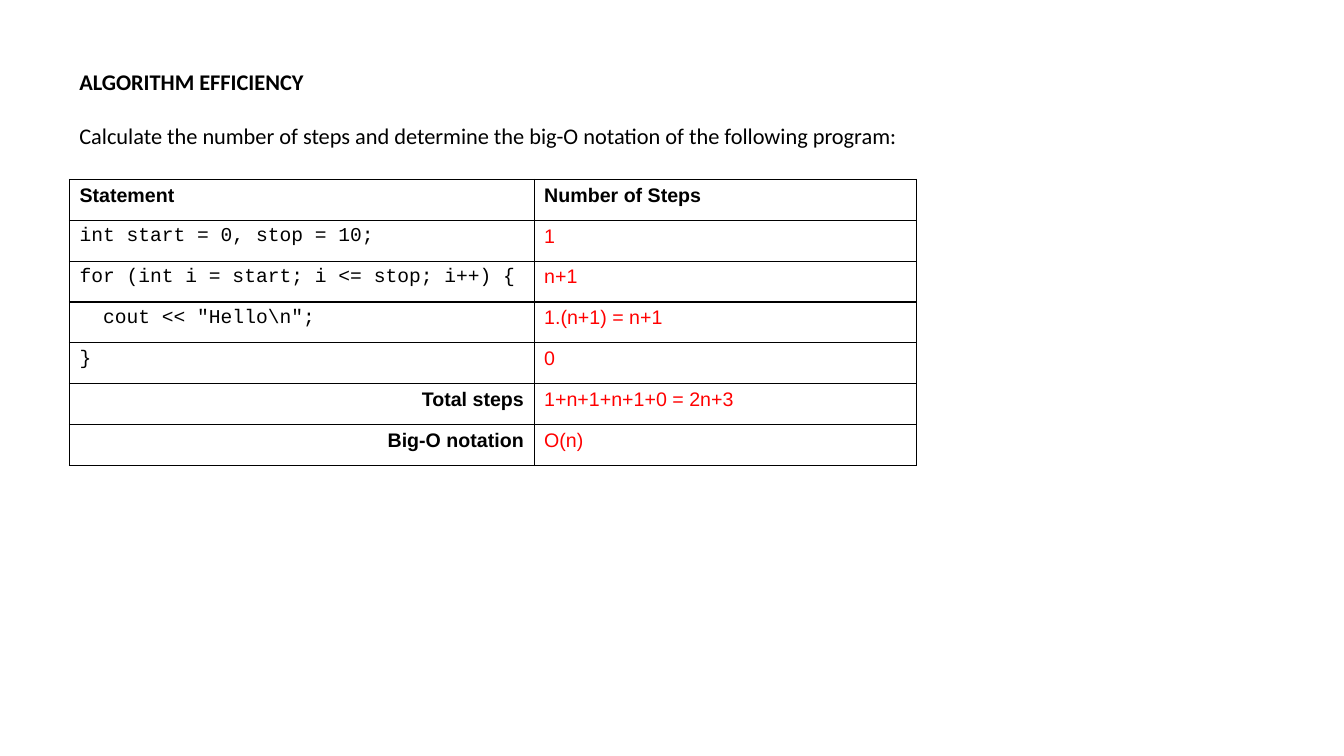
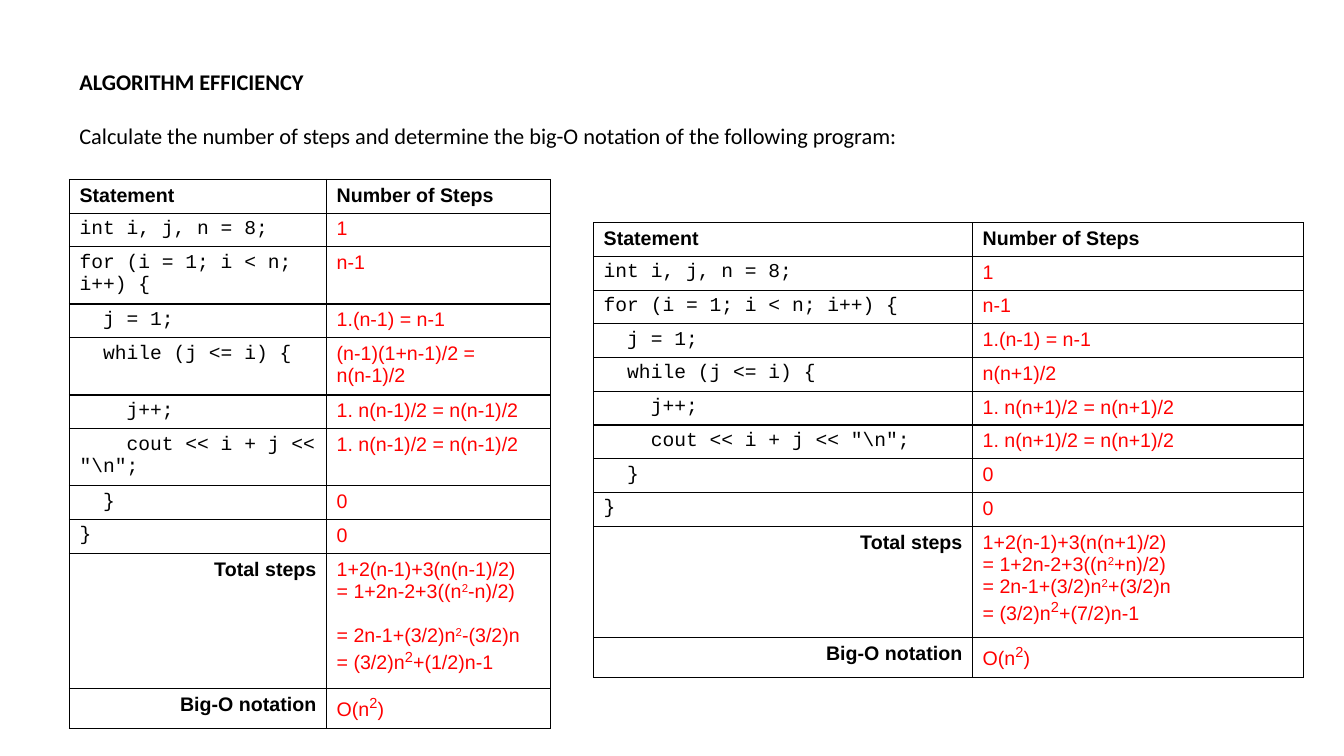
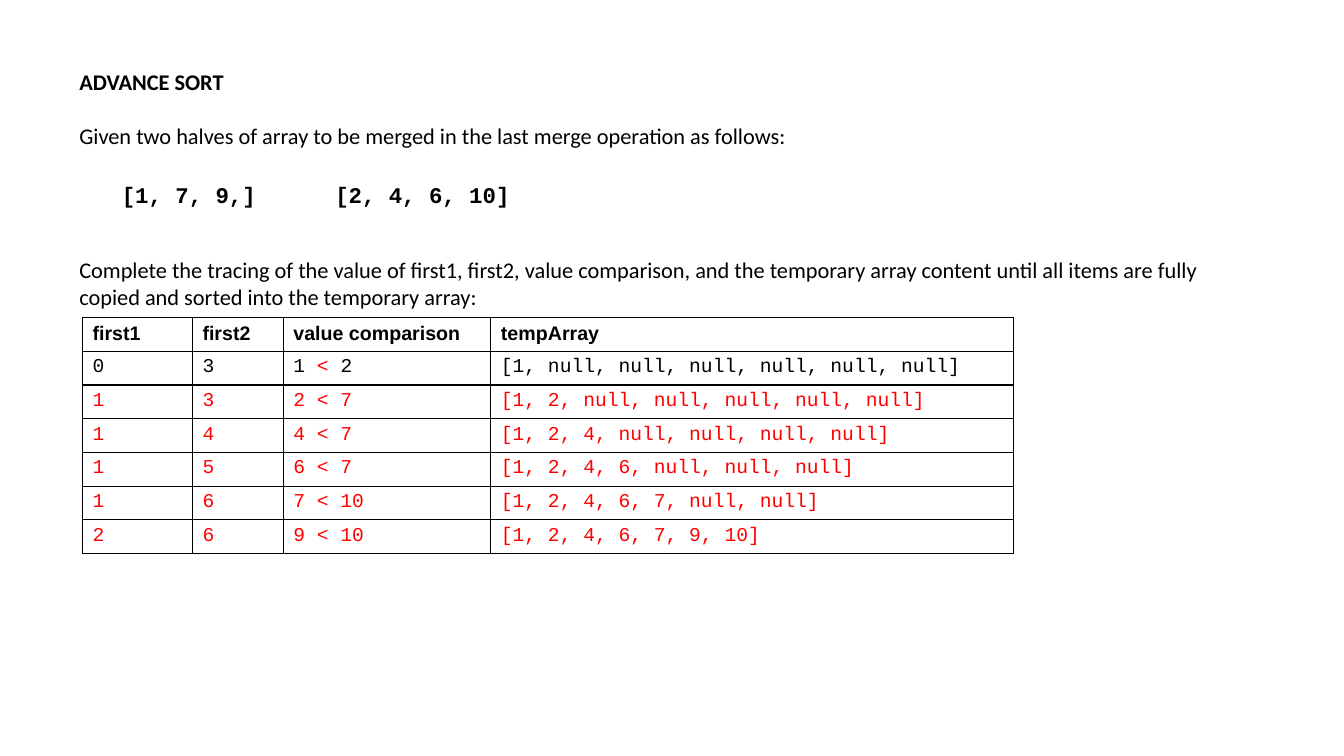
import pptx
import pptx.dml.color
import pptx.enum.text
import pptx.oxml
import pptx.oxml.ns
import pptx.util
from pptx.util import Cm

BLACK, RED = "000000", "FF0000"
BODY_FONT, TABLE_FONT, CODE_FONT = "Calibri", "Arial", "Courier New"
LEFT = pptx.enum.text.PP_ALIGN.LEFT
RIGHT = pptx.enum.text.PP_ALIGN.RIGHT

# Formats of the table texts
HEAD = {"font": TABLE_FONT, "bold": True}
CODE = {"font": CODE_FONT}
ANSWER = {"font": TABLE_FONT, "color": RED}
TRACE = {"font": CODE_FONT, "color": RED}
LABEL = {"font": TABLE_FONT, "bold": True, "align": RIGHT}

# Row heights in centimetres
ROW, TWO_LINES, POWER_ROW = 0.85, 1.44, 1.0


def rgb(color):
    return pptx.dml.color.RGBColor.from_string(color)


def write(paragraph, text, size=14, font=TABLE_FONT, color=BLACK, bold=False,
          align=LEFT, before=0, raised=False):
    """Add one run of text to a paragraph."""
    paragraph.alignment = align
    if before:
        paragraph.space_before = pptx.util.Pt(before)
    run = paragraph.add_run()
    run.text = text
    run.font.size = pptx.util.Pt(size)
    run.font.name = font
    run.font.bold = bold
    run.font.color.rgb = rgb(color)
    if raised:
        run.font._element.set("baseline", "30000")


def fill_frame(frame, lines):
    """Write lines, each a list of (text, format) runs."""
    for index, runs in enumerate(lines):
        paragraph = frame.add_paragraph() if index else frame.paragraphs[0]
        for text, style in runs:
            write(paragraph, text, **style)


def plain(text, style):
    """One cell holding a single line in a single format."""
    return [[(text, style)]]


def squared(start, end, size=14, before=0):
    """An answer line with a raised 2 between start and end."""
    first = {**ANSWER, "before": before}
    return [(start, first),
            ("2", {**first, "size": size, "raised": True}), (end, first)]


class Deck:
    def __init__(self):
        self.presentation = pptx.Presentation()
        self.presentation.slide_width = Cm(33.87)
        self.presentation.slide_height = Cm(19.05)
        self.slide = None

    def add_slide(self, title, *body):
        """Start a slide with a title and (text, space before) paragraphs."""
        layout = self.presentation.slide_layouts[6]
        self.slide = self.presentation.slides.add_slide(layout)
        style = {"size": 16, "font": BODY_FONT}
        lines = [[(title, {**style, "bold": True})]]
        lines += [[(text, {**style, "before": gap})] for text, gap in body]
        self.add_text(1.75, 1.6, 28.83, 5.74, lines)

    def add_text(self, left, top, width, height, lines, wrap=True):
        shape = self.slide.shapes.add_textbox(
            Cm(left), Cm(top), Cm(width), Cm(height))
        shape.text_frame.word_wrap = wrap
        fill_frame(shape.text_frame, lines)

    def add_table(self, left, top, widths, heights, rows):
        shape = self.slide.shapes.add_table(
            len(rows), len(widths), Cm(left), Cm(top),
            Cm(sum(widths)), Cm(sum(heights)))
        table = shape.table
        table.first_row = table.horz_banding = False
        for column, width in zip(table.columns, widths):
            column.width = Cm(width)
        for row, height, contents in zip(table.rows, heights, rows):
            row.height = Cm(height)
            for cell, lines in zip(row.cells, contents):
                self.add_borders(cell)
                cell.fill.background()
                fill_frame(cell.text_frame, lines)

    def add_borders(self, cell):
        properties = cell._tc.get_or_add_tcPr()
        for side in ("lnL", "lnR", "lnT", "lnB"):
            properties.append(pptx.oxml.parse_xml(
                f'<a:{side} {pptx.oxml.ns.nsdecls("a")} w="12700">'
                f'<a:solidFill><a:srgbClr val="{BLACK}"/></a:solidFill>'
                f'</a:{side}>'))

    def add_steps(self, left, top, widths, heights, steps, total, notation):
        """Table of statements, their step counts and the two results."""
        rows = [[plain("Statement", HEAD), plain("Number of Steps", HEAD)]]
        rows += [[plain(code, CODE), plain(count, ANSWER)]
                 for code, count in steps]
        rows += [[plain("Total steps", LABEL), total],
                 [plain("Big-O notation", LABEL), notation]]
        self.add_table(left, top, widths, heights, rows)


def add_nested_loop(deck, left, top, widths, heights, sign, loop, linear, gap):
    """Step table of the nested loop, for n(n-1)/2 or n(n+1)/2 passes."""
    passes = f"n(n{sign}1)/2"
    steps = [
        ("int i, j, n = 8;", "1"),
        ("for (i = 1; i < n; i++) {", "n-1"),
        ("  j = 1;", "1.(n-1) = n-1"),
        ("  while (j <= i) {", loop),
        ("    j++;", f"1. {passes} = {passes}"),
        ('    cout << i + j << "\\n";', f"1. {passes} = {passes}"),
        ("  }", "0"),
        ("}", "0"),
    ]
    total = [
        [(f"1+2(n-1)+3({passes})", ANSWER)],
        squared("= 1+2n-2+3((n", f"{sign}n)/2)"),
        squared("= 2n-1+(3/2)n", f"{sign}(3/2)n", before=gap),
        squared("= (3/2)n", f"+{linear}n-1", size=18),
    ]
    deck.add_steps(left, top, widths, heights, steps, total,
                   [squared("O(n", ")", size=18)])


def main():
    deck = Deck()
    title = "ALGORITHM EFFICIENCY"
    task = ("Calculate the number of steps and determine the big-O notation "
            "of the following program:", 19.5)

    # Single loop
    deck.add_slide(title, task)
    deck.add_steps(1.75, 4.52, [11.71, 9.63], [1.03] * 7, [
        ("int start = 0, stop = 10;", "1"),
        ("for (int i = start; i <= stop; i++) {", "n+1"),
        ('  cout << "Hello\\n";', "1.(n+1) = n+1"),
        ("}", "0"),
    ], plain("1+n+1+n+1+0 = 2n+3", ANSWER), plain("O(n)", ANSWER))

    # Nested loop, two ways of counting
    deck.add_slide(title, task)
    narrow_rows = [ROW, ROW, TWO_LINES, ROW, TWO_LINES, ROW, TWO_LINES,
                   ROW, ROW, 3.4, POWER_ROW]
    add_nested_loop(deck, 1.75, 4.52, [6.48, 5.64], narrow_rows, "-",
                    "(n-1)(1+n-1)/2 = n(n-1)/2", "(1/2)", 16)
    add_nested_loop(deck, 14.96, 5.61, [9.55, 8.33],
                    [ROW] * 9 + [2.8, POWER_ROW], "+",
                    "n(n+1)/2", "(7/2)", 0)

    # Merge trace
    deck.add_slide(
        "ADVANCE SORT",
        ("Given two halves of array to be merged in the last merge operation "
         "as follows:", 19.5),
        ("Complete the tracing of the value of first1, first2, value "
         "comparison, and the temporary array content until all items are "
         "fully copied and sorted into the temporary array:", 76))
    for left, width, half in ((2.82, 4.29, "[1, 7, 9,]"),
                              (8.2, 5.31, "[2, 4, 6, 10]")):
        style = {"size": 16, "font": CODE_FONT, "bold": True}
        deck.add_text(left, 4.45, width, 0.94, plain(half, style), wrap=False)

    heads = ("first1", "first2", "value comparison", "tempArray")
    given = [plain("0", CODE), plain("3", CODE),
             [[("1 ", CODE), ("< ", TRACE), ("2", CODE)]],
             plain("[1, null, null, null, null, null, null]", CODE)]
    traced = [
        ("1", "3", "2 < 7", "[1, 2, null, null, null, null, null]"),
        ("1", "4", "4 < 7", "[1, 2, 4, null, null, null, null]"),
        ("1", "5", "6 < 7", "[1, 2, 4, 6, null, null, null]"),
        ("1", "6", "7 < 10", "[1, 2, 4, 6, 7, null, null]"),
        ("2", "6", "9 < 10", "[1, 2, 4, 6, 7, 9, 10]"),
    ]
    rows = [[plain(head, HEAD) for head in heads], given]
    rows += [[plain(value, TRACE) for value in row] for row in traced]
    deck.add_table(2.08, 8, [2.77, 2.29, 5.23, 13.18], [ROW] * 7, rows)

    deck.presentation.save("out.pptx")


if __name__ == "__main__":
    main()
